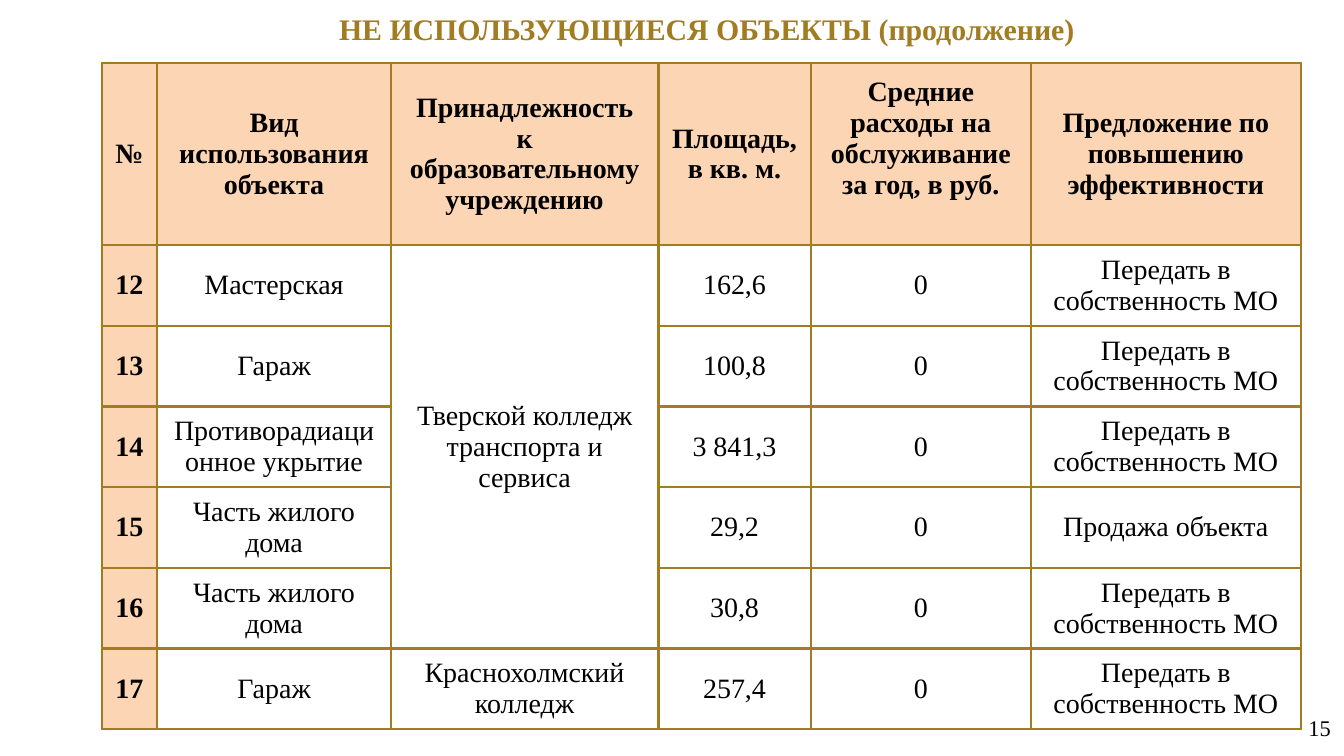
from lxml.etree import SubElement
from pptx import Presentation
from pptx.dml.color import RGBColor
from pptx.enum.text import MSO_ANCHOR, PP_ALIGN
from pptx.oxml.ns import qn
from pptx.util import Pt

FONT = "Times New Roman"
GOLD = RGBColor(0xA1, 0x7C, 0x21)
PEACH = RGBColor(0xFC, 0xD5, 0xB5)
BLACK = RGBColor(0, 0, 0)

TITLE = "НЕ ИСПОЛЬЗУЮЩИЕСЯ ОБЪЕКТЫ (продолжение)"
PAGE = "15"
TRANSFER = "Передать в собственность МО"
COLLEGE = "Тверской колледж транспорта и сервиса"
HEADER = ("№", "Вид использования объекта",
          "Принадлежность к образовательному учреждению",
          "Площадь, в кв. м.",
          "Средние расходы на обслуживание за год, в руб.",
          "Предложение по повышению эффективности")
OBJECTS = [
    ("12", "Мастерская", COLLEGE, "162,6", "0", TRANSFER),
    ("13", "Гараж", "", "100,8", "0", TRANSFER),
    ("14", "Противорадиационное укрытие", "", "3 841,3", "0", TRANSFER),
    ("15", "Часть жилого дома", "", "29,2", "0", "Продажа объекта"),
    ("16", "Часть жилого дома", "", "30,8", "0", TRANSFER),
    ("17", "Гараж", "Краснохолмский колледж", "257,4", "0", TRANSFER),
]
COL_WIDTHS = (29.7, 125.3, 143.2, 81.7, 117.9, 144.7)
HEADER_HEIGHT, ROW_HEIGHT = 97.5, 43.2
COLLEGE_COL, COLLEGE_ROWS = 2, (1, 5)
COST_COL, COST_BOTTOM = 4, 20.2


def write(tf, text, size, color, align, bold=False):
    tf.text = text
    p = tf.paragraphs[0]
    p.alignment = align
    for font in [p.font] + [r.font for r in p.runs]:
        font.name = FONT
        font.size = Pt(size)
        font.bold = bold
        font.color.rgb = color


def add_text(slide, box, text, size, color, align, anchor, bold=False):
    tf = slide.shapes.add_textbox(*map(Pt, box)).text_frame
    tf.word_wrap = True
    tf.vertical_anchor = anchor
    write(tf, text, size, color, align, bold)


def add_borders(cell):
    tc_pr = cell._tc.get_or_add_tcPr()
    for i, side in enumerate(("lnL", "lnR", "lnT", "lnB")):
        ln = tc_pr.makeelement(qn(f"a:{side}"), {"w": str(Pt(1.5))})
        fill = SubElement(ln, qn("a:solidFill"))
        SubElement(fill, qn("a:srgbClr"), val=str(GOLD))
        tc_pr.insert(i, ln)


def add_objects_table(slide):
    rows = [HEADER] + OBJECTS
    heights = [HEADER_HEIGHT] + [ROW_HEIGHT] * len(OBJECTS)
    table = slide.shapes.add_table(
        len(rows), len(HEADER), Pt(54.5), Pt(33.8),
        Pt(sum(COL_WIDTHS)), Pt(sum(heights))).table
    for col, width in zip(table.columns, COL_WIDTHS):
        col.width = Pt(width)
    for row, height in zip(table.rows, heights):
        row.height = Pt(height)
    for i, row in enumerate(rows):
        for j, text in enumerate(row):
            cell = table.cell(i, j)
            heading = i == 0 or j == 0
            write(cell.text_frame, text, 15, BLACK, PP_ALIGN.CENTER, heading)
            cell.vertical_anchor = MSO_ANCHOR.MIDDLE
            if heading:
                cell.fill.solid()
                cell.fill.fore_color.rgb = PEACH
            else:
                cell.fill.background()
            add_borders(cell)
    first, last = COLLEGE_ROWS
    table.cell(first, COLLEGE_COL).merge(table.cell(last, COLLEGE_COL))
    table.cell(0, COST_COL).margin_bottom = Pt(COST_BOTTOM)


def main():
    prs = Presentation()
    prs.slide_width, prs.slide_height = Pt(720), Pt(405)
    s = prs.slides.add_slide(prs.slide_layouts[6])
    add_text(s, (552, 376, 168, 28), PAGE, 12, BLACK,
             PP_ALIGN.RIGHT, MSO_ANCHOR.MIDDLE)
    add_objects_table(s)
    add_text(s, (55.5, 2.2, 646.5, 55.5), TITLE, 16, GOLD,
             PP_ALIGN.CENTER, MSO_ANCHOR.TOP, True)
    prs.save("out.pptx")


if __name__ == "__main__":
    main()
